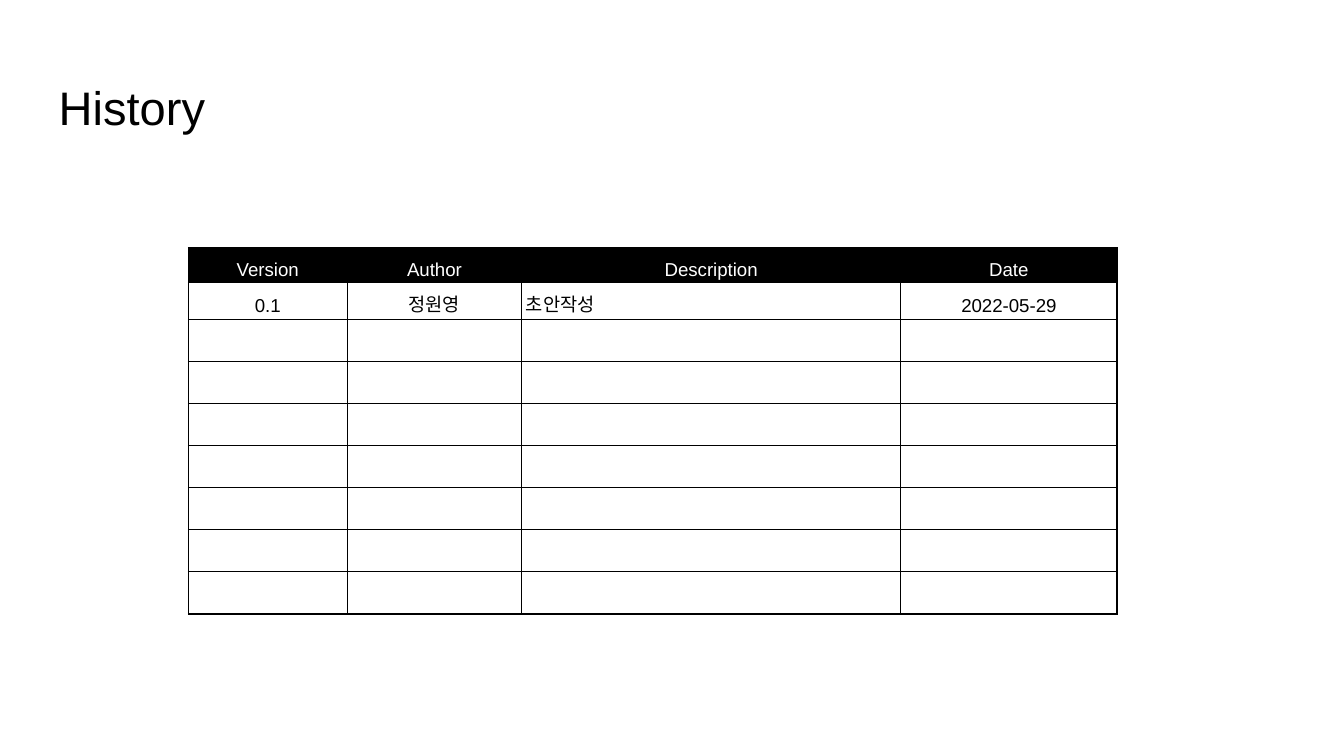
import pptx
import pptx.dml.color
import pptx.enum.text
import pptx.oxml
import pptx.oxml.ns
import pptx.util
from pptx.util import Cm

FONT = "Arial"
BLACK, WHITE = "000000", "FFFFFF"
ALIGN = pptx.enum.text.PP_ALIGN
ANCHOR = pptx.enum.text.MSO_ANCHOR

HISTORY = [
    ["Version", "Author", "Description", "Date"],
    ["0.1", "정원영", "초안작성", "2022-05-29"],
]
EMPTY_ROWS = 7
COLUMN_WIDTHS = [3, 3.3, 7.16, 4.09]
ROW_HEIGHTS = [0.66, 0.69] + [0.79] * EMPTY_ROWS
DESCRIPTION = 2


def rgb(hex_colour):
    return pptx.dml.color.RGBColor.from_string(hex_colour)


def set_font(paragraph, size, colour):
    paragraph.font.name = FONT
    paragraph.font.size = pptx.util.Pt(size)
    paragraph.font.bold = False
    paragraph.font.color.rgb = rgb(colour)


def add_borders(cell, colour, width):
    properties = cell._tc.get_or_add_tcPr()
    for side in ("lnL", "lnR", "lnT", "lnB"):
        properties.append(pptx.oxml.parse_xml(
            f'<a:{side} {pptx.oxml.ns.nsdecls("a")} w="{pptx.util.Pt(width)}">'
            f'<a:solidFill><a:srgbClr val="{colour}"/></a:solidFill></a:{side}>'))


def format_cell(cell, text, is_header, alignment):
    cell.margin_left = cell.margin_right = Cm(0.08)
    cell.margin_top = cell.margin_bottom = Cm(0.05)
    cell.vertical_anchor = ANCHOR.BOTTOM
    add_borders(cell, BLACK, 0.75)
    if is_header:
        cell.fill.solid()
        cell.fill.fore_color.rgb = rgb(BLACK)
    else:
        cell.fill.background()
    cell.text = text
    paragraph = cell.text_frame.paragraphs[0]
    paragraph.alignment = alignment
    paragraph.line_spacing = 1.15
    set_font(paragraph, 10, WHITE if is_header else BLACK)


def place_title(slide, left, top, width, height):
    title = slide.shapes.title
    title.left, title.top, title.width, title.height = left, top, width, height
    frame = title.text_frame
    frame.text = "History"
    frame.vertical_anchor = ANCHOR.TOP
    frame.margin_left = frame.margin_right = Cm(0.25)
    frame.margin_top = frame.margin_bottom = Cm(0.25)
    heading = frame.paragraphs[0]
    heading.alignment = ALIGN.LEFT
    set_font(heading, 25.2, BLACK)


def add_history_table(slide, left, top, width, height):
    """Scale the column widths and row heights to fill the given box."""
    table = slide.shapes.add_table(
        len(ROW_HEIGHTS), len(COLUMN_WIDTHS), left, top, width, height).table
    table.first_row = table.horz_banding = False
    for column, share in zip(table.columns, COLUMN_WIDTHS):
        column.width = round(width * share / sum(COLUMN_WIDTHS))
    for row, share in zip(table.rows, ROW_HEIGHTS):
        row.height = round(height * share / sum(ROW_HEIGHTS))

    entries = HISTORY + [[""] * len(COLUMN_WIDTHS)] * EMPTY_ROWS
    for r, entry in enumerate(entries):
        for c, text in enumerate(entry):
            is_header = r == 0
            centred = is_header or c != DESCRIPTION
            format_cell(table.cell(r, c), text, is_header,
                        ALIGN.CENTER if centred else ALIGN.LEFT)


def main():
    presentation = pptx.Presentation()
    presentation.slide_width, presentation.slide_height = Cm(25.4), Cm(14.29)
    title_only = presentation.slide_layouts[5]
    slide = presentation.slides.add_slide(title_only)
    place_title(slide, Cm(0.86), Cm(1.24), Cm(23.67), Cm(1.6))
    add_history_table(slide, Cm(3.56), Cm(4.68), Cm(17.55), Cm(6.93))
    presentation.save("out.pptx")


if __name__ == "__main__":
    main()
